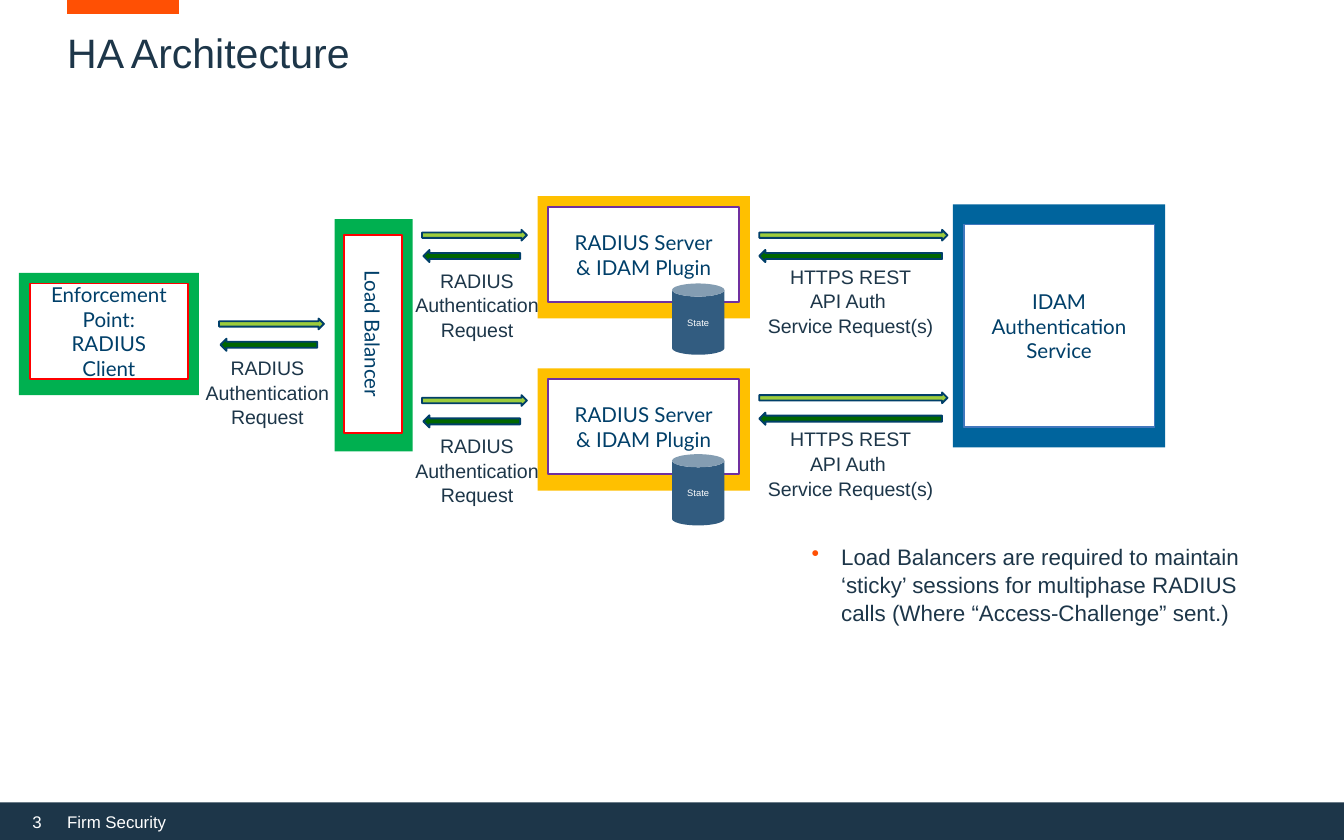
from dataclasses import dataclass

from lxml import etree
from pptx import Presentation
from pptx import util as u
from pptx.dml.color import RGBColor
from pptx.enum import shapes, text
from pptx.oxml import ns

PX = 9144
KIND = shapes.MSO_SHAPE
ALIGN = text.PP_ALIGN
ANCHOR = text.MSO_ANCHOR


@dataclass(frozen=True)
class Theme:
    ink: str = "1D3649"
    navy: str = "003F69"
    white: str = "FFFFFF"
    orange: str = "FF5004"
    green: str = "00B050"
    red: str = "FF0000"
    gold: str = "FFC000"
    purple: str = "7030A0"
    blue: str = "00649D"
    edge: str = "4178BE"
    lime: str = "9CCC3C"
    forest: str = "006600"
    steel: str = "325C80"
    sans: str = "Arial"
    lato: str = "Lato"
    title: float = 22
    body: float = 12
    node: float = 11
    label: float = 10.5
    foot: float = 9
    tiny: float = 5
    loose: float = 1.05


T = Theme()


@dataclass(frozen=True)
class Box:
    x: int
    y: int
    w: int
    h: int

    def emu(self) -> list[int]:
        return [n * PX for n in (self.x, self.y, self.w, self.h)]


@dataclass(frozen=True)
class Node:
    outer: Box
    inner: Box
    fill: str
    edge: str
    words: str
    turn: bool = False


@dataclass(frozen=True)
class Link:
    go: Box
    back: Box
    note: Box
    words: str


def assign(obj, vals: dict) -> None:
    for key, val in vals.items():
        setattr(obj, key, val)


def write(frame, words: str, size: float, color: str, face: str = T.sans,
          para: dict | None = None, inset: int | None = None, **opts) -> None:
    frame.text = words
    assign(frame, {"word_wrap": True, **opts})
    if inset is not None:
        sides = ("left", "right", "top", "bottom")
        assign(frame, {f"margin_{side}": inset for side in sides})
    for par in frame.paragraphs:
        assign(par, para or {})
        for run in par.runs:
            assign(run.font, {"name": face, "size": u.Pt(size)})
            run.font.color.rgb = RGBColor.from_string(color)


def shape(slide, kind, box: Box, fill: str, edge: str | None = None):
    item = slide.shapes.add_shape(kind, *box.emu())
    item.shadow.inherit = False
    item.fill.solid()
    item.fill.fore_color.rgb = RGBColor.from_string(fill)
    if edge:
        item.line.color.rgb = RGBColor.from_string(edge)
        item.line.width = u.Pt(1)
    else:
        item.line.fill.background()
    return item


def label(slide, box: Box, words: str, size: float, color: str, **opts):
    item = slide.shapes.add_textbox(*box.emu())
    write(item.text_frame, words, size, color, **opts)
    return item.text_frame


def node(slide, spec: Node) -> None:
    shape(slide, KIND.RECTANGLE, spec.outer, spec.fill)
    face = shape(slide, KIND.RECTANGLE, spec.inner, T.white, spec.edge)
    write(face.text_frame, spec.words, T.node, T.navy, T.lato,
          {"alignment": ALIGN.CENTER}, vertical_anchor=ANCHOR.MIDDLE)
    if spec.turn:
        face.text_frame._txBody.bodyPr.set("vert", "vert")


def link(slide, spec: Link) -> None:
    shape(slide, KIND.RIGHT_ARROW, spec.go, T.lime, T.navy)
    shape(slide, KIND.LEFT_ARROW, spec.back, T.forest, T.navy)
    label(slide, spec.note, spec.words, T.label, T.ink, inset=0, word_wrap=False,
          para={"alignment": ALIGN.CENTER, "line_spacing": T.loose})


def store(slide, box: Box) -> None:
    can = shape(slide, KIND.CAN, box, T.steel)
    write(can.text_frame, "State", T.tiny, T.white,
          para={"alignment": ALIGN.CENTER}, vertical_anchor=ANCHOR.MIDDLE)


def auth(x: int, y: int, note: Box) -> Link:
    return Link(Box(x, y, 78, 8), Box(x + 1, y + 15, 72, 9), note,
                "RADIUS\vAuthentication\vRequest")


def rest(y: int) -> Link:
    return Link(Box(565, y, 140, 8), Box(565, y + 15, 136, 9),
                Box(570, y + 25, 126, 53),
                "HTTPS REST\vAPI Auth \vService Request(s)")


def server(y: int) -> Node:
    return Node(Box(400, y, 158, 91), Box(408, y + 8, 142, 71), T.gold, T.purple,
                "RADIUS Server\n& IDAM Plugin")


NODES = [
    Node(Box(14, 203, 134, 91), Box(22, 211, 118, 71), T.green, T.red,
         "Enforcement Point:\vRADIUS Client"),
    Node(Box(709, 152, 158, 181), Box(717, 167, 142, 151), T.blue, T.edge,
         "IDAM Authentication Service"),
    server(146),
    server(274),
    Node(Box(249, 163, 58, 173), Box(256, 175, 43, 147), T.green, T.red,
         "Load Balancer", True),
]
LINKS = [
    auth(163, 237, Box(152, 264, 94, 53)),
    *(auth(314, y, Box(308, y + 28, 94, 53)) for y in (171, 294)),
    *(rest(y) for y in (171, 292)),
]


def frame(slide) -> None:
    bar = slide.shapes.add_connector(shapes.MSO_CONNECTOR.STRAIGHT,
                                     50 * PX, 5 * PX, 133 * PX, 5 * PX)
    bar.line.color.rgb = RGBColor.from_string(T.orange)
    bar.line.width = u.Pt(8)
    etree.SubElement(bar._element.spPr, ns.qn("a:effectLst"))
    shape(slide, KIND.RECTANGLE, Box(0, 597, 1000, 28), T.ink)
    foot = label(slide, Box(12, 599, 191, 20), "\t3\tFirm Security", T.foot,
                 T.white, inset=0, vertical_anchor=ANCHOR.BOTTOM,
                 para={"line_spacing": 0.9})
    tabs = etree.SubElement(foot.paragraphs[0]._p.get_or_add_pPr(), ns.qn("a:tabLst"))
    for pos, side in ((19, "r"), (38, "l")):
        etree.SubElement(tabs, ns.qn("a:tab"), pos=str(pos * PX), algn=side)


def head(slide) -> None:
    item = slide.shapes.title
    assign(item, dict(zip(("left", "top", "width", "height"),
                          Box(50, 25, 900, 38).emu())))
    write(item.text_frame, "HA Architecture", T.title, T.ink, inset=0,
          vertical_anchor=ANCHOR.TOP, auto_size=text.MSO_AUTO_SIZE.NONE,
          para={"alignment": ALIGN.LEFT, "line_spacing": u.Pt(23)})


def remark(slide) -> None:
    words = ("Load Balancers are required to maintain ‘sticky’ sessions for "
             "multiphase RADIUS calls (Where “Access-Challenge” sent.)")
    body = label(slide, Box(594, 398, 370, 192), words, T.body, T.ink,
                 para={"line_spacing": T.loose})
    props = body.paragraphs[0]._p.get_or_add_pPr()
    for key, val in {"marL": 22, "indent": -22}.items():
        props.set(key, str(val * PX))
    tint = etree.SubElement(props, ns.qn("a:buClr"))
    etree.SubElement(tint, ns.qn("a:srgbClr"), val=T.orange)
    etree.SubElement(props, ns.qn("a:buChar"), char="•")


def main() -> None:
    deck = Presentation()
    assign(deck, {"slide_width": 1000 * PX, "slide_height": 625 * PX})
    slide = deck.slides.add_slide(deck.slide_layouts[5])
    frame(slide)
    head(slide)
    for spec in NODES:
        node(slide, spec)
    for spec in LINKS:
        link(slide, spec)
    for y in (211, 338):
        store(slide, Box(500, y, 39, 53))
    remark(slide)
    deck.save("out.pptx")


if __name__ == "__main__":
    main()
